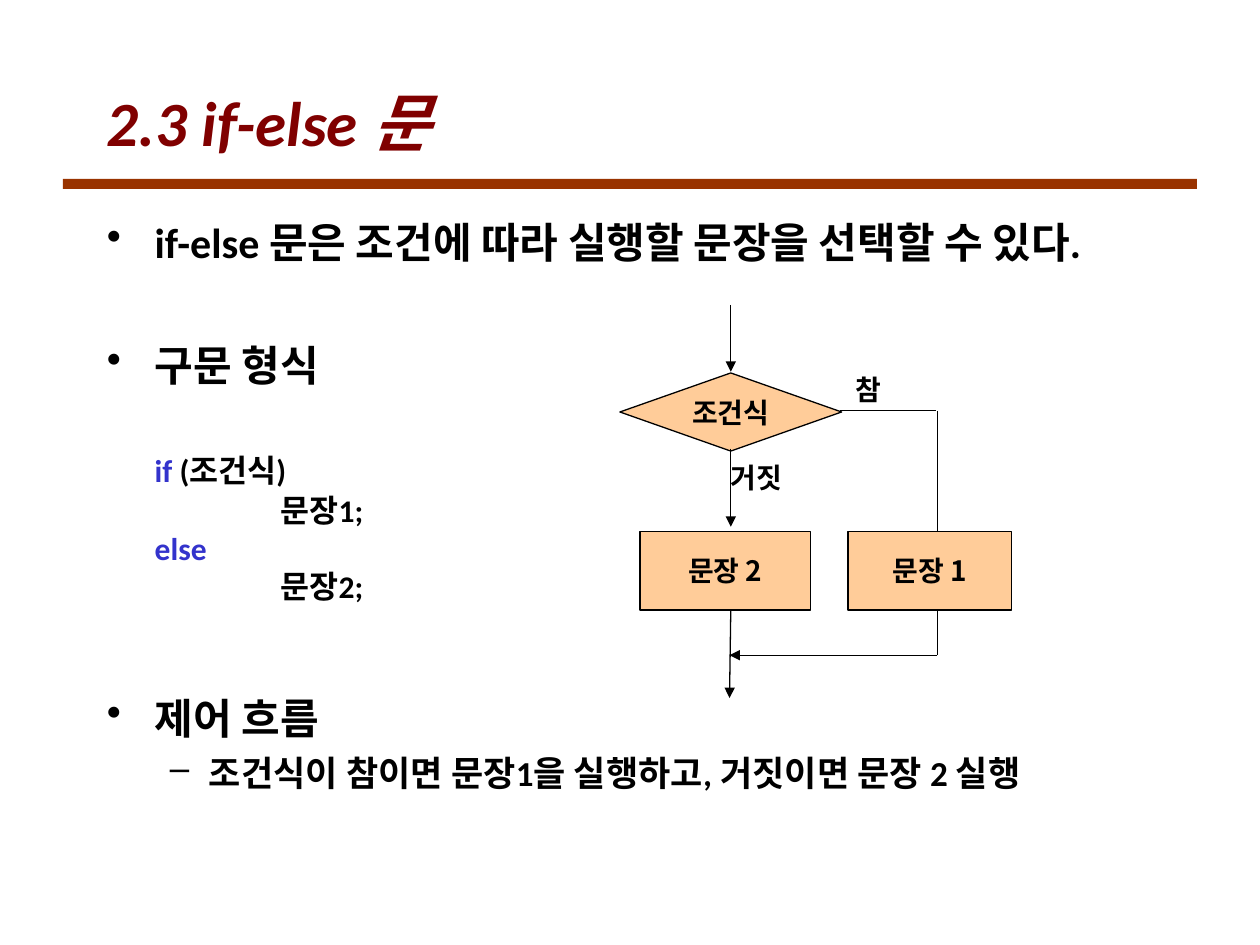
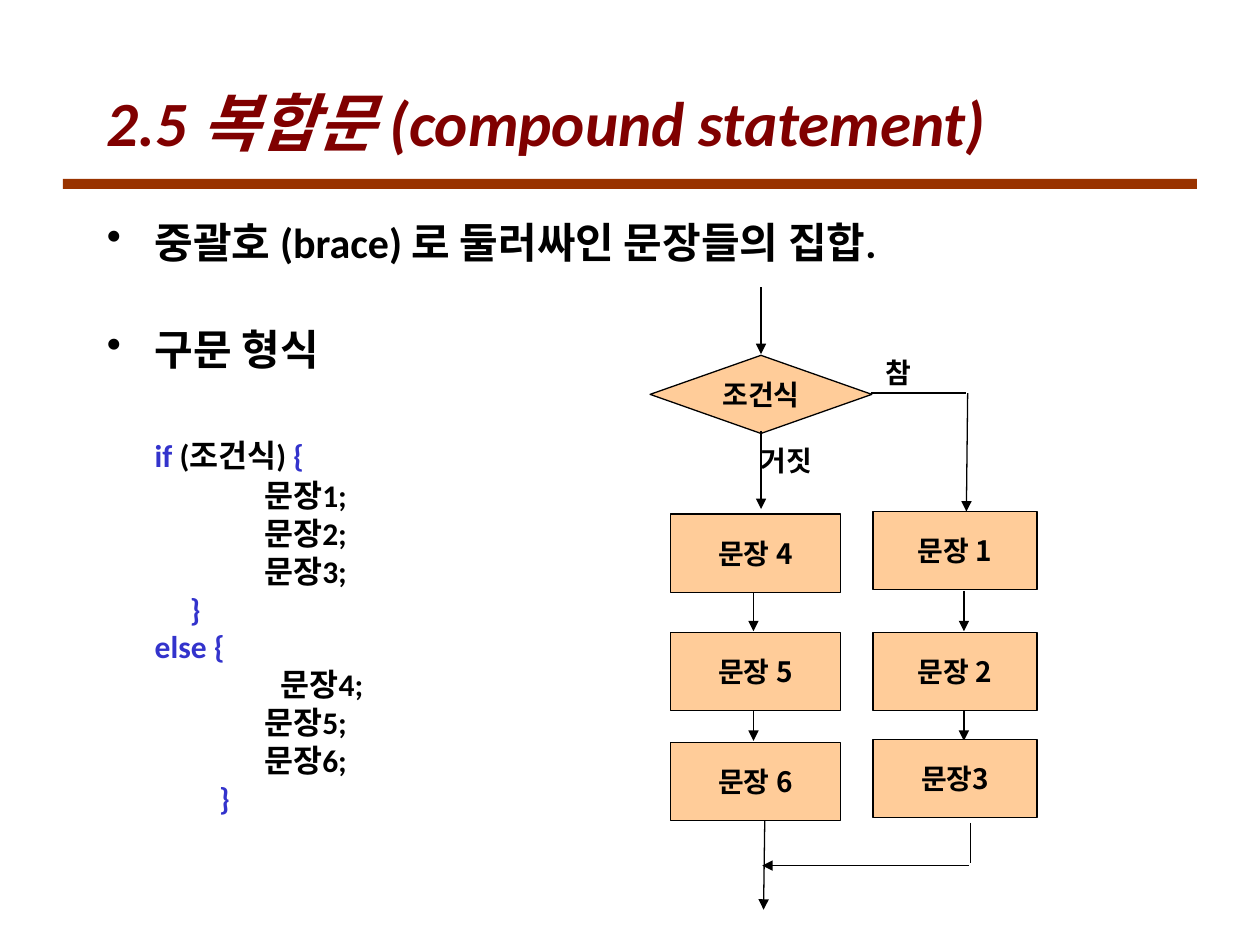
import pptx
import pptx.dml.color
import pptx.enum.shapes
import pptx.enum.text
import pptx.oxml.ns
import pptx.util
from lxml import etree

Inches = pptx.util.Inches
Pt = pptx.util.Pt
Shapes = pptx.enum.shapes.MSO_SHAPE
Anchor = pptx.enum.text.MSO_ANCHOR
Align = pptx.enum.text.PP_ALIGN
qn = pptx.oxml.ns.qn

# Shared style
BLACK = "000000"
TITLE_RED = "800000"
BAND_BROWN = "993300"
KEYWORD_BLUE = "3333CC"
BOX_ORANGE = "FFCC99"
TEXT_FONT = "Calibri"
DIAGRAM_FONT = "Noto Sans CJK KR"

# Flowchart sizes
BOX_HEIGHT = 0.62
DECISION_WIDTH = 1.76
FALSE_WIDTH = 1.35
TRUE_WIDTH = 1.3


def color(hex_string):
    return pptx.dml.color.RGBColor.from_string(hex_string)


# Text
def add_run(paragraph, text, size, font=TEXT_FONT, ink=BLACK, italic=False):
    run = paragraph.add_run()
    run.text = text
    run.font.size = Pt(size)
    run.font.name = font
    run.font.bold = True
    run.font.italic = italic
    run.font.color.rgb = color(ink)
    east_asian = etree.Element(qn("a:ea"), typeface=font)
    run.font._element.find(qn("a:latin")).addnext(east_asian)


def add_text_box(slide, left, top, width, height, wrap=True):
    box = slide.shapes.add_textbox(
        Inches(left), Inches(top), Inches(width), Inches(height))
    box.text_frame.word_wrap = wrap
    return box.text_frame


def next_paragraph(frame, indent, hanging=0, before=0):
    """Return a fresh paragraph, using the first one while it is empty."""
    paragraph = frame.paragraphs[0]
    if paragraph.runs:
        paragraph = frame.add_paragraph()
    paragraph.space_before = Pt(before)
    properties = paragraph._p.get_or_add_pPr()
    properties.set("marL", str(Inches(indent)))
    properties.set("indent", str(Inches(-hanging)))
    return paragraph


def add_bullet(frame, text, before=6, size=24, mark="•", indent=0.38, hanging=0.38):
    paragraph = next_paragraph(frame, indent, hanging, before)
    properties = paragraph._p.get_or_add_pPr()
    bullet_color = etree.SubElement(properties, qn("a:buClr"))
    etree.SubElement(bullet_color, qn("a:srgbClr"), val=BLACK)
    etree.SubElement(properties, qn("a:buChar"), char=mark)
    add_run(paragraph, text, size)


def add_code_line(frame, indent, *parts, before=0):
    """Each part is a text and its colour."""
    paragraph = next_paragraph(frame, indent, before=before)
    for text, ink in parts:
        add_run(paragraph, text, 18, ink=ink)


def add_statements(frame, indent, numbers, before=0):
    for number in numbers:
        add_code_line(frame, indent, (f"문장{number};", BLACK), before=before)
        before = 0


# Flowchart parts
def add_line(slide, start, end, arrow=True):
    connector = slide.shapes.add_connector(
        pptx.enum.shapes.MSO_CONNECTOR.STRAIGHT,
        *(Inches(value) for value in (*start, *end)))
    connector.line.color.rgb = color(BLACK)
    connector.line.width = Pt(0.75)
    if arrow:
        etree.SubElement(connector.line._get_or_add_ln(), qn("a:tailEnd"),
                         type="triangle")
    etree.SubElement(connector._element.spPr, qn("a:effectLst"))


def add_box(slide, text, left, top, width, kind=Shapes.FLOWCHART_PROCESS):
    shape = slide.shapes.add_shape(
        kind, Inches(left), Inches(top), Inches(width), Inches(BOX_HEIGHT))
    shape.shadow.inherit = False
    shape.fill.solid()
    shape.fill.fore_color.rgb = color(BOX_ORANGE)
    shape.line.color.rgb = color(BLACK)
    shape.line.width = Pt(0.75)
    frame = shape.text_frame
    frame.word_wrap = False
    frame.vertical_anchor = Anchor.MIDDLE
    paragraph = frame.paragraphs[0]
    paragraph.alignment = Align.CENTER
    add_run(paragraph, text, 16, DIAGRAM_FONT)


def add_label(slide, text, left, top, width):
    frame = add_text_box(slide, left, top, width, 0.37, wrap=False)
    add_run(frame.paragraphs[0], text, 16, DIAGRAM_FONT)


def add_decision(slide, left, top):
    """Draw the condition with its entry, its false exit and its true exit."""
    center = left + DECISION_WIDTH / 2
    add_box(slide, "조건식", left, top, DECISION_WIDTH, Shapes.FLOWCHART_DECISION)
    add_line(slide, (center, top - 0.54), (center, top - 0.01))
    add_line(slide, (center, top + 0.6), (center, top + 1.22))
    add_line(slide, (left + 1.75, top + 0.3), (left + 2.51, top + 0.3), arrow=False)
    add_label(slide, "거짓", left + 0.78, top + 0.65, 0.61)
    add_label(slide, "참", left + 1.77, top - 0.05, 0.4)


# Slides
def add_titled_slide(presentation, title):
    """Add a slide with band and title, and return it with its body frame."""
    slide = presentation.slides.add_slide(presentation.slide_layouts[6])
    band = slide.shapes.add_shape(
        Shapes.RECTANGLE, Inches(0.5), Inches(1.42), Inches(9), Inches(0.08))
    band.shadow.inherit = False
    band.fill.solid()
    band.fill.fore_color.rgb = color(BAND_BROWN)
    band.line.fill.background()
    title_frame = add_text_box(slide, 0.75, 0.5, 8.5, 0.92)
    title_frame.vertical_anchor = Anchor.MIDDLE
    add_run(title_frame.paragraphs[0], title, 36, ink=TITLE_RED, italic=True)
    return slide, add_text_box(slide, 0.75, 1.67, 8.5, 5.17)


def build_if_else(presentation):
    slide, body = add_titled_slide(presentation, "2.3 if-else 문")
    add_bullet(body, "if-else 문은 조건에 따라 실행할 문장을 선택할 수 있다.")
    add_bullet(body, "구문 형식", before=41.3)
    add_code_line(body, 0.38, ("if", KEYWORD_BLUE), (" (조건식)", BLACK), before=35)
    add_statements(body, 1.38, [1], before=1.6)
    add_code_line(body, 0.38, ("else", KEYWORD_BLUE))
    add_statements(body, 1.38, [2])
    add_bullet(body, "제어 흐름", before=50)
    add_bullet(body, "조건식이 참이면 문장1을 실행하고, 거짓이면 문장 2 실행",
               before=5, size=20, mark="–", indent=0.81, hanging=0.31)

    # Both branches meet below the boxes
    add_decision(slide, 4.92, 2.96)
    add_line(slide, (7.44, 3.26), (7.44, 5.2), arrow=False)
    add_line(slide, (7.44, 5.2), (5.79, 5.2))
    add_line(slide, (5.8, 4.83), (5.79, 5.54))
    add_box(slide, "문장 2", 5.08, 4.22, FALSE_WIDTH)
    add_box(slide, "문장 1", 6.73, 4.22, TRUE_WIDTH)


def build_compound(presentation):
    slide, body = add_titled_slide(presentation, "2.5 복합문 (compound statement)")
    add_bullet(body, "중괄호 (brace) 로 둘러싸인 문장들의 집합.")
    add_bullet(body, "구문 형식", before=32.5)
    add_code_line(body, 0.38, ("if", KEYWORD_BLUE), (" (조건식) ", BLACK),
                  ("{", KEYWORD_BLUE), before=35)
    add_statements(body, 1.25, [1, 2, 3], before=1.6)
    add_code_line(body, 0.66, ("}", KEYWORD_BLUE))
    add_code_line(body, 0.38, ("else {", KEYWORD_BLUE))
    add_statements(body, 1.38, [4])
    add_statements(body, 1.25, [5, 6])
    add_code_line(body, 0.89, ("}", KEYWORD_BLUE))

    # Links inside the two branches
    add_decision(slide, 5.16, 2.82)
    add_line(slide, (7.68, 3.12), (7.67, 4.06))
    for x in (5.98, 7.65):
        for y in (4.69, 5.56):
            add_line(slide, (x, y), (x, y + 0.32))

    # Both branches meet below the boxes
    add_line(slide, (7.7, 6.53), (7.7, 6.85), arrow=False)
    add_line(slide, (7.69, 6.87), (6.05, 6.87))
    add_line(slide, (6.07, 6.5), (6.06, 7.22))

    false_boxes = [("문장 4", 4.08), ("문장 5", 5.02), ("문장 6", 5.89)]
    true_boxes = [("문장 1", 4.06), ("문장 2", 5.02), ("문장3", 5.87)]
    for text, top in false_boxes:
        add_box(slide, text, 5.32, top, FALSE_WIDTH)
    for text, top in true_boxes:
        add_box(slide, text, 6.93, top, TRUE_WIDTH)


def main():
    presentation = pptx.Presentation()
    presentation.slide_width = Inches(10)
    presentation.slide_height = Inches(7.5)
    build_if_else(presentation)
    build_compound(presentation)
    presentation.save("out.pptx")


if __name__ == "__main__":
    main()
